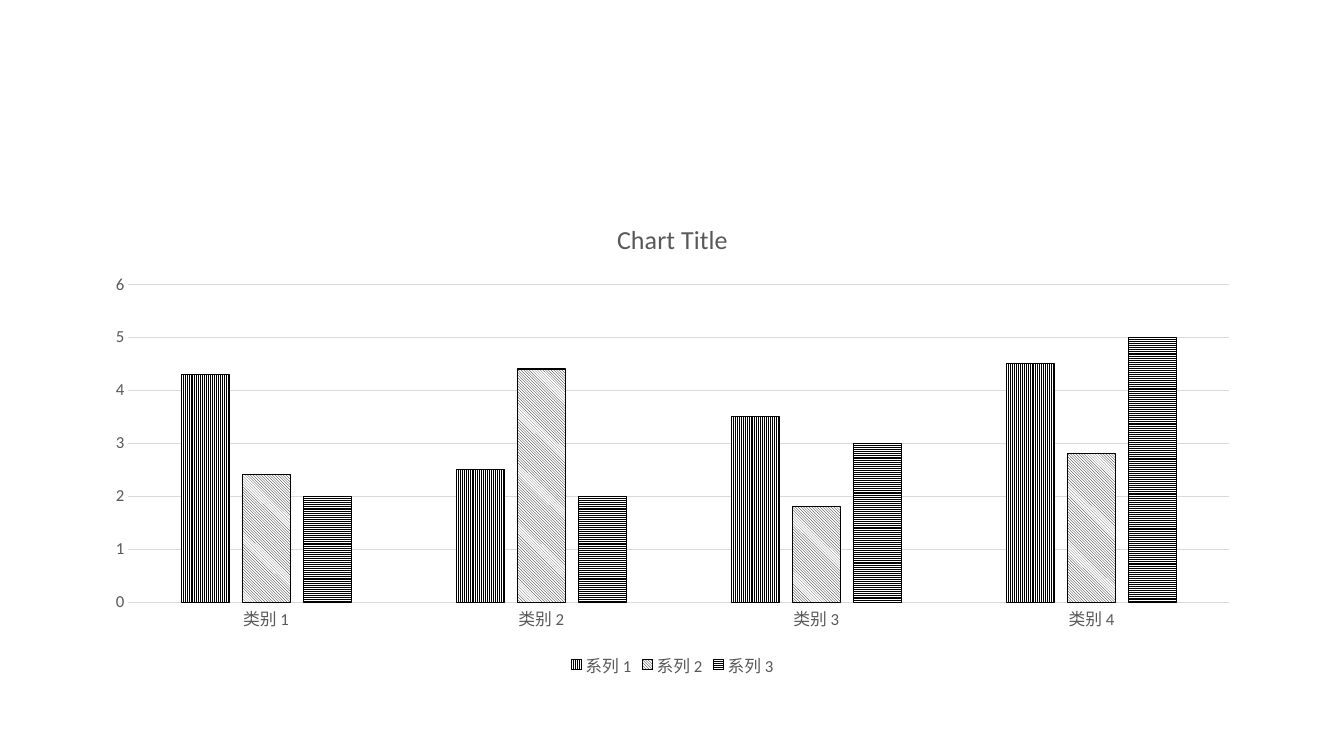
from pptx import Presentation
from pptx.chart.data import CategoryChartData
from pptx.dml.color import RGBColor
from pptx.enum.chart import XL_CHART_TYPE, XL_LEGEND_POSITION, XL_TICK_MARK
from pptx.enum.dml import MSO_PATTERN
from pptx.util import Inches, Pt

TEXT, GRID, INK, PAPER = "595959", "D9D9D9", "000000", "FFFFFF"
CATEGORIES = [f"类别 {number}" for number in range(1, 5)]
SERIES = [
    ("系列 1", (4.3, 2.5, 3.5, 4.5), MSO_PATTERN.NARROW_VERTICAL),
    ("系列 2", (2.4, 4.4, 1.8, 2.8), MSO_PATTERN.DARK_DOWNWARD_DIAGONAL),
    ("系列 3", (2, 2, 3, 5), MSO_PATTERN.LIGHT_HORIZONTAL),
]


def color(hex_string):
    """Turn a hex string into a colour."""
    return RGBColor.from_string(hex_string)


def set_attributes(target, values):
    """Set each named attribute of the target."""
    for name, value in values.items():
        setattr(target, name, value)


class SlideBuilder:
    """Holds the style and the current slide."""

    def __init__(self, slide, font_name="Calibri", line_width=0.75):
        """Keep the slide and its shared style."""
        self.slide = slide
        self.font_name = font_name
        self.line_width = Pt(line_width)

    def style_font(self, font, size):
        """Apply the shared typeface and text colour."""
        set_attributes(font, {"name": self.font_name, "size": Pt(size), "bold": False})
        font.color.rgb = color(TEXT)

    def style_line(self, line, hex_string):
        """Draw a thin solid line."""
        line.color.rgb = color(hex_string)
        line.width = self.line_width

    def style_axis(self, axis):
        """Remove tick marks and set the label font."""
        set_attributes(axis, {"major_tick_mark": XL_TICK_MARK.NONE,
                              "minor_tick_mark": XL_TICK_MARK.NONE})
        self.style_font(axis.tick_labels.font, 12)

    def style_series(self, series, pattern):
        """Fill the columns with a black and white pattern."""
        fill = series.format.fill
        fill.patterned()
        fill.pattern = pattern
        fill.fore_color.rgb = color(INK)
        fill.back_color.rgb = color(PAPER)
        self.style_line(series.format.line, INK)

    def column_chart(self, title, left, top, width, height):
        """Add the clustered column chart with title and legend."""
        data = CategoryChartData()
        data.categories = CATEGORIES
        for name, values, _ in SERIES:
            data.add_series(name, values)
        chart = self.slide.shapes.add_chart(
            XL_CHART_TYPE.COLUMN_CLUSTERED,
            *map(Inches, (left, top, width, height)), data).chart
        self.style_font(chart.font, 12)

        chart.has_title = True
        chart.chart_title.text_frame.text = title
        title_run = chart.chart_title.text_frame.paragraphs[0].runs[0]
        self.style_font(title_run.font, 18.6)

        chart.has_legend = True
        set_attributes(chart.legend, {"position": XL_LEGEND_POSITION.BOTTOM,
                                      "include_in_layout": False})
        self.style_font(chart.legend.font, 12)

        category_axis, value_axis = chart.category_axis, chart.value_axis
        for axis in (category_axis, value_axis):
            self.style_axis(axis)
        self.style_line(category_axis.format.line, GRID)
        set_attributes(value_axis, {"minimum_scale": 0, "maximum_scale": 6,
                                    "major_unit": 1})
        value_axis.format.line.fill.background()
        self.style_line(value_axis.major_gridlines.format.line, GRID)

        plot = chart.plots[0]
        set_attributes(plot, {"gap_width": 219, "overlap": -27,
                              "vary_by_categories": False})
        for series, (_, _, pattern) in zip(plot.series, SERIES):
            self.style_series(series, pattern)


def main():
    """Build and save the slide."""
    presentation = Presentation()
    set_attributes(presentation, {"slide_width": Inches(13.33),
                                  "slide_height": Inches(7.5)})
    blank_layout = presentation.slide_layouts[6]
    builder = SlideBuilder(presentation.slides.add_slide(blank_layout))
    builder.column_chart("Chart Title", 0.92, 2, 11.5, 4.76)
    presentation.save("out.pptx")


main()
